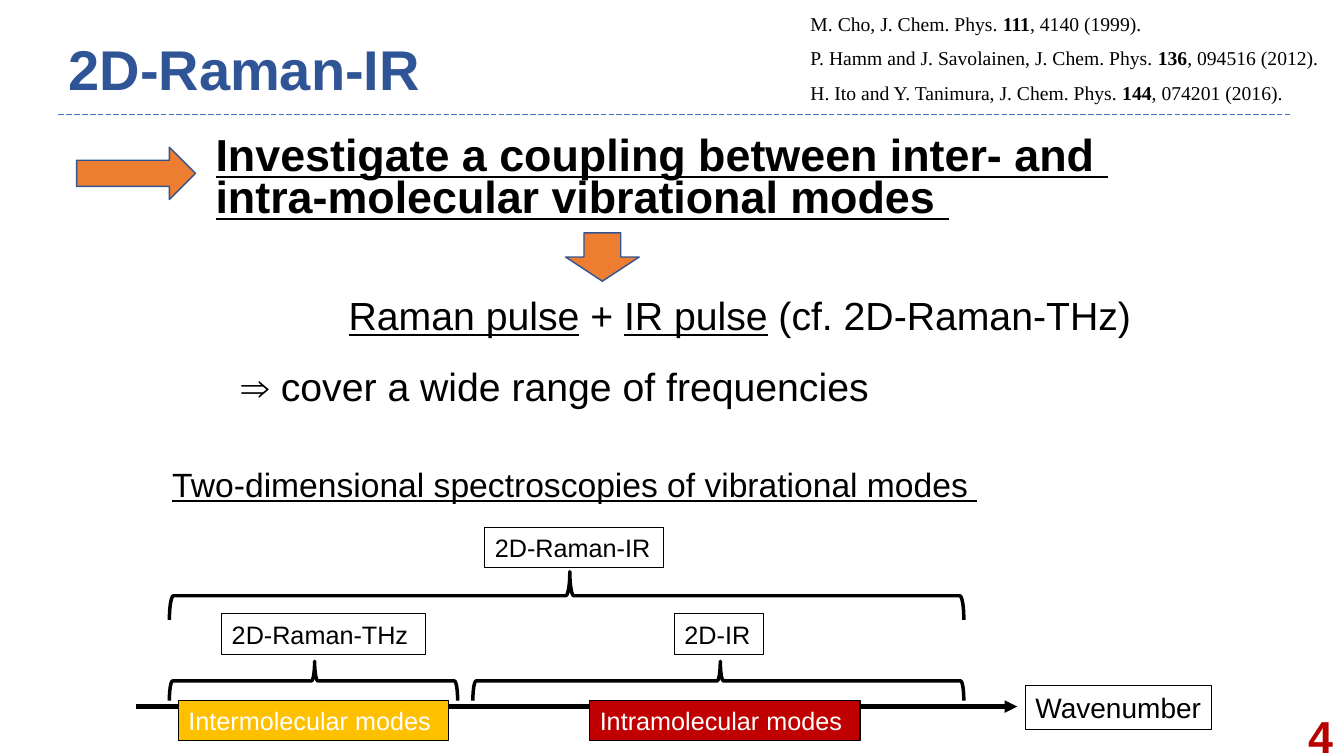
from lxml.etree import SubElement
from pptx import Presentation
from pptx.dml.color import RGBColor
from pptx.enum.dml import MSO_LINE
from pptx.enum.shapes import MSO_CONNECTOR, MSO_SHAPE
from pptx.enum.text import MSO_ANCHOR, MSO_AUTO_SIZE, PP_ALIGN
from pptx.oxml.ns import qn
from pptx.util import Inches, Pt

BLACK, WHITE = "000000", "FFFFFF"
ORANGE, ARROW_EDGE = "ED7D31", "325491"


def color(hex_code):
    return RGBColor.from_string(hex_code)


def write(frame, *pieces, size=18, font="Arial", ink=BLACK, bold=False,
          underline=False, align=PP_ALIGN.LEFT, spacing=None,
          anchor=MSO_ANCHOR.TOP, wrap=True):
    """Fill a frame; a piece is a string or a (string, overrides) pair."""
    frame.word_wrap = wrap
    frame.auto_size = MSO_AUTO_SIZE.NONE
    frame.vertical_anchor = anchor
    paragraph = frame.paragraphs[0]
    paragraph.alignment = align
    if spacing:
        paragraph.line_spacing = spacing
    for piece in pieces:
        words, changes = (piece, {}) if isinstance(piece, str) else piece
        for index, line in enumerate(words.split("\n")):
            if index:
                paragraph.add_line_break()
            run = paragraph.add_run()
            run.text = line
            run.font.name = font
            run.font.size = Pt(size)
            run.font.color.rgb = color(ink)
            run.font.bold = changes.get("bold", bold)
            run.font.underline = changes.get("underline", underline)


class SlideBuilder:
    def __init__(self, slide):
        self.slide = slide
        self.shapes = slide.shapes

    def title(self, words, left, top, width, height, **style):
        title = self.shapes.title
        title.left, title.top = Inches(left), Inches(top)
        title.width, title.height = Inches(width), Inches(height)
        write(title.text_frame, words, **style)

    def text(self, left, top, width, height, *pieces, **style):
        box = self.shapes.add_textbox(
            Inches(left), Inches(top), Inches(width), Inches(height))
        write(box.text_frame, *pieces, **style)

    def shape(self, kind, left, top, width, height, fill=None, edge=BLACK, weight=0.75):
        shape = self.shapes.add_shape(
            kind, Inches(left), Inches(top), Inches(width), Inches(height))
        shape.shadow.inherit = False
        if fill:
            shape.fill.solid()
            shape.fill.fore_color.rgb = color(fill)
        else:
            shape.fill.background()
        shape.line.color.rgb = color(edge)
        shape.line.width = Pt(weight)
        return shape

    def label(self, words, left, top, width, height=0.4, fill=None, **style):
        box = self.shape(MSO_SHAPE.RECTANGLE, left, top, width, height, fill)
        write(box.text_frame, words, **style)

    def brace(self, left, top, width, height):
        """A brace that opens downward over the given span."""
        brace = self.shape(MSO_SHAPE.RIGHT_BRACE, left + (width - height) / 2,
                           top + (height - width) / 2, height, width, weight=2.5)
        brace.rotation = 270
        brace.adjustments[0] = 0.083
        brace.adjustments[1] = 0.504

    def line(self, left, right, y, ink, weight, dash=None, arrow=False):
        line = self.shapes.add_connector(
            MSO_CONNECTOR.STRAIGHT, Inches(left), Inches(y), Inches(right), Inches(y))
        line.line.color.rgb = color(ink)
        line.line.width = Pt(weight)
        if dash:
            line.line.dash_style = dash
        if arrow:
            SubElement(line.line._get_or_add_ln(), qn("a:tailEnd"), type="triangle")
        SubElement(line._element.spPr, qn("a:effectLst"))


def main():
    deck = Presentation()
    deck.slide_width, deck.slide_height = Inches(13.33), Inches(7.5)
    page = SlideBuilder(deck.slides.add_slide(deck.slide_layouts[5]))

    # Header and page number
    page.line(0.58, 12.79, 1.13, "4472C4", 0.5, dash=MSO_LINE.LONG_DASH)
    page.title("2D-Raman-IR", 0.58, 0.31, 12.21, 0.82, size=40, ink="2F5597",
               bold=True, spacing=0.9, anchor=MSO_ANCHOR.MIDDLE)
    page.text(12.51, 7.1, 0.81, 0.4, "4", size=32, ink="B80000", bold=True,
              align=PP_ALIGN.RIGHT, anchor=MSO_ANCHOR.MIDDLE)

    # References
    references = [
        ("M. Cho, J. Chem. Phys. ", "111", ", 4140 (1999)."),
        ("P. Hamm and J. Savolainen, J. Chem. Phys. ", "136", ", 094516 (2012)."),
        ("H. Ito and Y. Tanimura, J. Chem. Phys. ", "144", ", 074201 (2016)."),
    ]
    for row, (authors, volume, pages) in enumerate(references):
        page.text(7.94, 0.07 + 0.34 * row, 5.39, 0.34,
                  authors, (volume, {"bold": True}), pages,
                  size=14, font="Times New Roman", wrap=False)

    # Aim and approach
    page.shape(MSO_SHAPE.RIGHT_ARROW, 0.76, 1.46, 1.18, 0.52, ORANGE, ARROW_EDGE, 1)
    page.text(2.04, 1.33, 9.9, 0.94,
              "Investigate a coupling between inter- and \nintra-molecular vibrational modes ",
              size=32, bold=True, underline=True, spacing=Pt(30))
    page.shape(MSO_SHAPE.DOWN_ARROW, 5.61, 2.31, 0.73, 0.48, ORANGE, ARROW_EDGE, 1)
    page.text(3.36, 2.89, 8.48, 0.52,
              ("Raman pulse", {"underline": True}), " + ",
              ("IR pulse", {"underline": True}), " (cf. 2D-Raman-THz)",
              size=28, spacing=Pt(30))
    page.text(2.3, 3.6, 6.63, 0.52, "⇒ cover a wide range of frequencies",
              size=28, spacing=Pt(30))

    # Wavenumber axis
    page.text(1.61, 4.55, 8.89, 0.5,
              "Two-dimensional spectroscopies of vibrational modes ",
              size=24, underline=True)
    page.line(1.35, 10.09, 7.01, BLACK, 3, arrow=True)
    page.label("Wavenumber", 10.17, 6.8, 1.85, 0.44, size=20)
    page.label("Intermolecular modes", 1.77, 6.95, 2.68, fill="FFC000", ink=WHITE)
    page.label("Intramolecular modes", 5.85, 6.95, 2.68, fill="C00000", ink=WHITE)

    # Range covered by each spectroscopy
    page.brace(1.68, 6.56, 2.86, 0.39)
    page.label("2D-Raman-THz", 2.2, 6.09, 2.02)
    page.brace(4.69, 6.56, 4.87, 0.39)
    page.label("2D-IR", 6.69, 6.09, 0.88)
    page.brace(1.68, 5.67, 7.88, 0.48)
    page.label("2D-Raman-IR", 4.81, 5.23, 1.77)

    deck.save("out.pptx")


if __name__ == "__main__":
    main()
